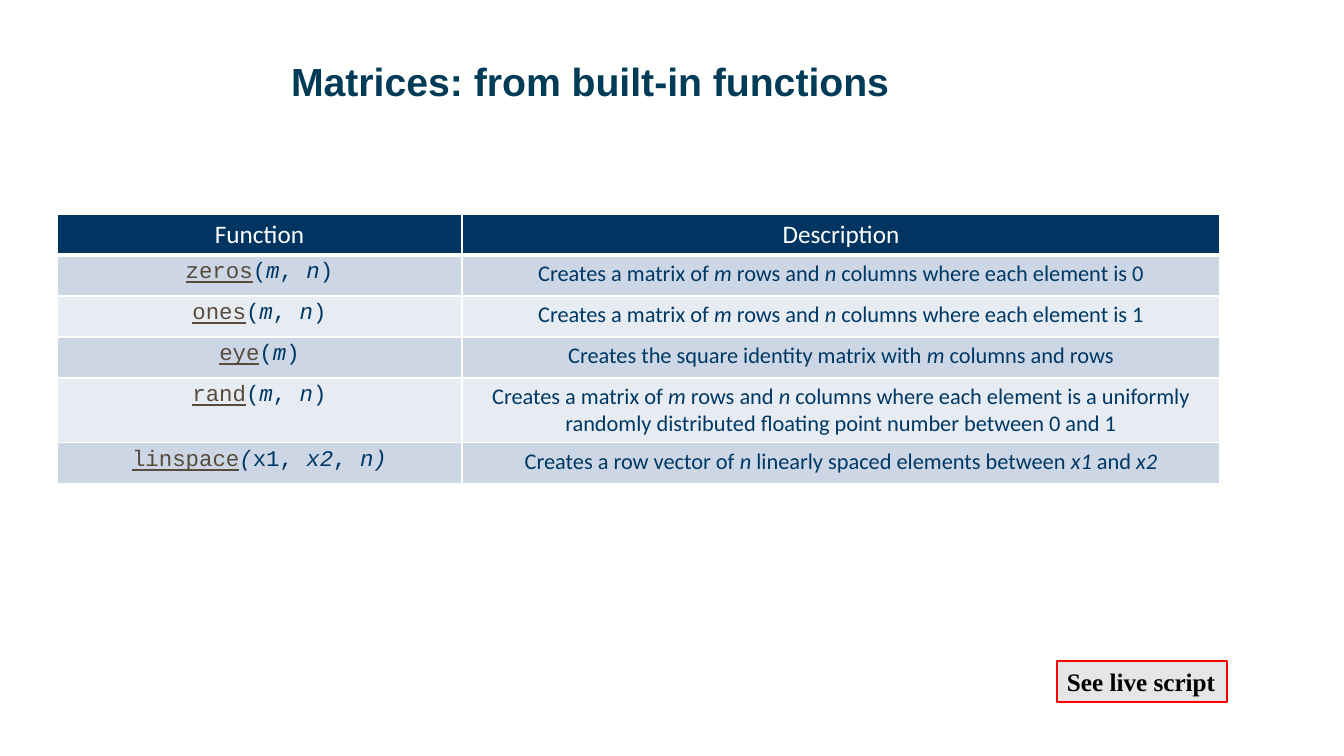
from pptx import Presentation, util as u
from pptx.dml.color import RGBColor
from pptx.enum import shapes, text
from pptx.oxml import parse_xml
from pptx.oxml.ns import nsdecls

PX = 914400 / 100.8
COLOURS = {
    "background": "FFFFFE", "title": "003B58", "header": "003561",
    "band dark": "CCD6E4", "band light": "E7ECF2", "text": "003865",
    "function": "584B3D", "callout": "E7E6E6", "callout line": "FF0000",
    "callout text": "000000",
}
COLUMN_WIDTHS = [405, 758]
ROW_HEIGHTS = [41, 41, 41, 41, 64, 41]
# Function name, arguments, description; asterisks enclose italics
FUNCTIONS = [
    ("zeros", "(*m*, *n*)", "Creates a matrix of *m* rows and *n* columns where each element is 0"),
    ("ones", "(*m*, *n*)", "Creates a matrix of *m* rows and *n* columns where each element is 1"),
    ("eye", "(*m*)", "Creates the square identity matrix with *m* columns and rows"),
    ("rand", "(*m*, *n*)", "Creates a matrix of *m* rows and *n* columns where each element is "
     "a uniformly randomly distributed floating point number between 0 and 1"),
    ("linspace", "*(*x1, *x2*, *n)*",
     "Creates a row vector of *n* linearly spaced elements between *x1* and *x2*"),
]


def colour(name):
    return RGBColor.from_string(COLOURS[name])


def fill_cell(cell, fill, font_name, size, font_colour, bottom_width=1):
    """Give a cell its borders, fill and font, and return its centred paragraph."""
    properties = cell._tc.get_or_add_tcPr()
    for side, width in (("L", 1), ("R", 1), ("T", 1), ("B", bottom_width)):
        properties.append(parse_xml(
            f'<a:ln{side} {nsdecls("a")} w="{u.Pt(width)}"><a:solidFill>'
            f'<a:srgbClr val="{COLOURS["background"]}"/></a:solidFill></a:ln{side}>'))
    cell.fill.solid()
    cell.fill.fore_color.rgb = colour(fill)
    paragraph = cell.text_frame.paragraphs[0]
    paragraph.alignment = text.PP_ALIGN.CENTER
    paragraph.font.name = font_name
    paragraph.font.size = u.Pt(size)
    paragraph.font.bold = False
    paragraph.font.color.rgb = colour(font_colour)
    return paragraph


presentation = Presentation()
presentation.slide_width = round(1344 * PX)
presentation.slide_height = round(756 * PX)
slide = presentation.slides.add_slide(presentation.slide_layouts[5])
slide.background.fill.solid()
slide.background.fill.fore_color.rgb = colour("background")

# Title
title = slide.shapes.title
title.left, title.top, title.width, title.height = (
    round(length * PX) for length in (281, 58, 1015, 98))
title.text_frame.text = "Matrices: from built-in functions"
title.text_frame.vertical_anchor = text.MSO_ANCHOR.TOP
paragraph = title.text_frame.paragraphs[0]
paragraph.alignment = text.PP_ALIGN.LEFT
paragraph.line_spacing = 0.9
paragraph.font.name = "Arial"
paragraph.font.size = u.Pt(28)
paragraph.font.bold = True
paragraph.font.color.rgb = colour("title")

# Function table
table = slide.shapes.add_table(
    len(ROW_HEIGHTS), len(COLUMN_WIDTHS), round(57 * PX), round(214 * PX),
    round(sum(COLUMN_WIDTHS) * PX), round(sum(ROW_HEIGHTS) * PX)).table
for column, width in zip(table.columns, COLUMN_WIDTHS):
    column.width = round(width * PX)
for row, height in zip(table.rows, ROW_HEIGHTS):
    row.height = round(height * PX)

for column, heading in enumerate(("Function", "Description")):
    paragraph = fill_cell(table.cell(0, column), "header", "Calibri", 18, "background", 3)
    paragraph.add_run().text = heading

for row, (function, arguments, description) in enumerate(FUNCTIONS, start=1):
    band = "band dark" if row % 2 else "band light"
    call = fill_cell(table.cell(row, 0), band, "Courier New", 16, "text")
    name = call.add_run()
    name.text = function
    name.font.underline = True
    name.font.color.rgb = colour("function")
    explanation = fill_cell(table.cell(row, 1), band, "Calibri", 16, "text")
    for paragraph, marked_text in ((call, arguments), (explanation, description)):
        for index, part in enumerate(marked_text.split("*")):
            if part:
                run = paragraph.add_run()
                run.text = part
                run.font.italic = index % 2 == 1

# Live script callout
callout = slide.shapes.add_shape(
    shapes.MSO_SHAPE.RECTANGLE,
    *(round(length * PX) for length in (1057, 661, 170, 41)))
callout.shadow.inherit = False
callout.fill.solid()
callout.fill.fore_color.rgb = colour("callout")
callout.line.color.rgb = colour("callout line")
callout.line.width = u.Pt(1.5)
callout.text_frame.text = "See live script"
callout.text_frame.word_wrap = False
callout.text_frame.vertical_anchor = text.MSO_ANCHOR.TOP
paragraph = callout.text_frame.paragraphs[0]
paragraph.alignment = text.PP_ALIGN.LEFT
paragraph.font.name = "Times New Roman"
paragraph.font.size = u.Pt(18)
paragraph.font.bold = True
paragraph.font.color.rgb = colour("callout text")

presentation.save("out.pptx")
